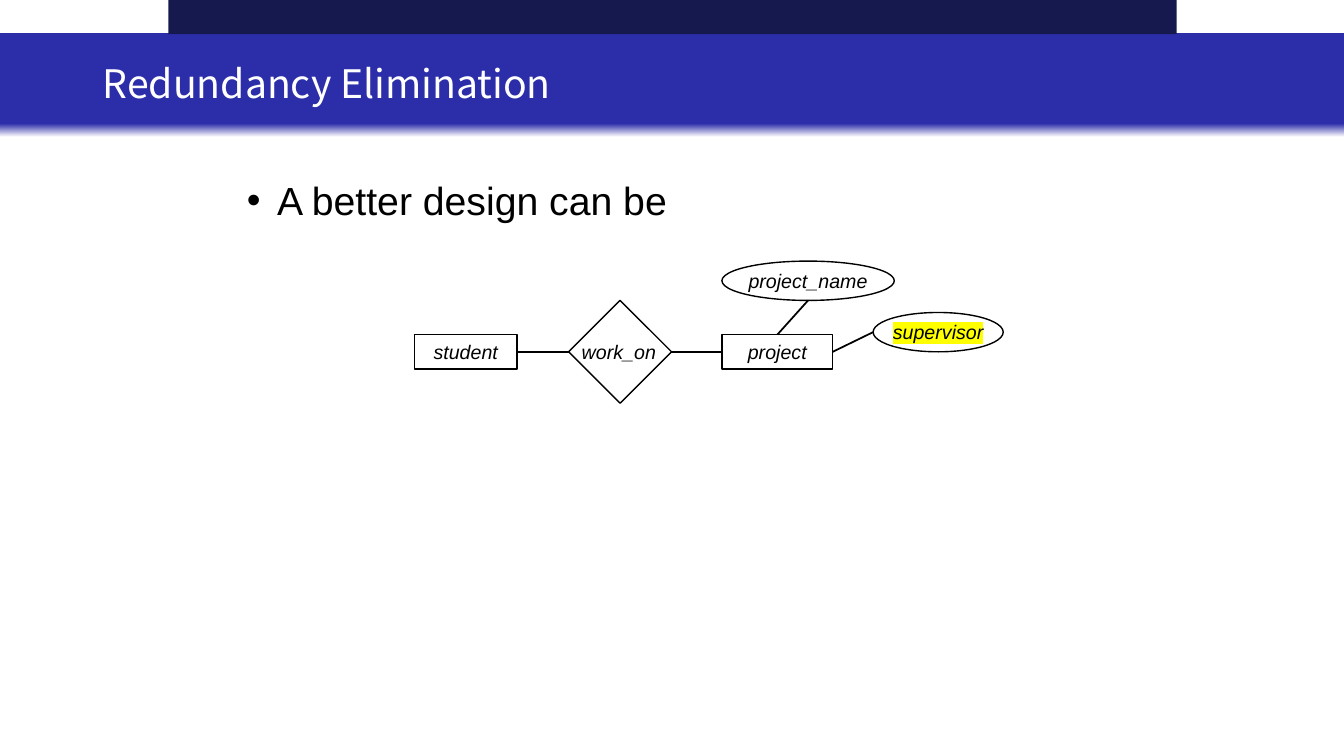
import pptx
import pptx.dml.color
import pptx.enum.shapes
import pptx.enum.text
import pptx.oxml
import pptx.oxml.ns
import pptx.util
from collections import namedtuple
from dataclasses import dataclass

Inches = pptx.util.Inches
Pt = pptx.util.Pt
SHAPE = pptx.enum.shapes.MSO_SHAPE
ANCHOR = pptx.enum.text.MSO_ANCHOR
ALIGN = pptx.enum.text.PP_ALIGN
TOP, LEFT, BOTTOM, RIGHT = range(4)
Box = namedtuple("Box", "left top width height")


@dataclass(frozen=True)
class Theme:
    band: str = "2C2DA9"
    strip: str = "16194D"
    paper: str = "FFFFFF"
    ink: str = "000000"
    marker: str = "FFFF00"
    title_font: str = "Noto Sans CJK SC"
    body_font: str = "Arial"
    heading_size: int = 28
    label_size: int = 14
    outline: float = 1
    link: float = 1.25


THEME = Theme()


def rgb(value):
    return pptx.dml.color.RGBColor.from_string(value)


def drawing_xml(tag, attributes="", content=""):
    namespace = pptx.oxml.ns.nsdecls("a")
    return pptx.oxml.parse_xml(f"<a:{tag} {namespace} {attributes}>{content}</a:{tag}>")


def inside(box, left, top, width, height):
    return Box(box.left + left, box.top + top, width, height)


def lengths(box):
    return [Inches(value) for value in box]


def apply(target, formats):
    for name, value in formats.items():
        setattr(target, name, value)


def write(shape, text, font, color, frame=None, para_format=None, bullet=None):
    apply(shape.text_frame, {"word_wrap": True, **(frame or {})})
    para = shape.text_frame.paragraphs[0]
    apply(para, para_format or {})
    if bullet:
        properties = para._p.get_or_add_pPr()
        apply_indent = {"marL": Inches(0.3), "indent": Inches(-0.3)}
        for name, value in apply_indent.items():
            properties.set(name, str(value))
        properties.append(drawing_xml("buFont", 'typeface="Arial"'))
        properties.append(drawing_xml("buChar", f'char="{bullet}"'))
    span = para.add_run()
    span.text = text
    apply(span.font, font)
    span.font.color.rgb = rgb(color)
    return span


def add_figure(page, kind, box):
    shape = page.shapes.add_shape(kind, *lengths(box))
    shape.shadow.inherit = False
    return shape


def add_header(page, box):
    band = add_figure(page, SHAPE.RECTANGLE, inside(box, 0, 0.33, box.width, 1.03))
    band.line.fill.background()
    band.fill.gradient()
    band.fill.gradient_angle = 90
    for stop, (position, color) in zip(
        band.fill.gradient_stops, [(0, THEME.paper), (0.13, THEME.band)]
    ):
        stop.position = position
        stop.color.rgb = rgb(color)

    title = page.shapes.add_textbox(*lengths(inside(box, 0.92, 0.39, 11.5, 0.92)))
    write(
        title, "Redundancy Elimination",
        {"name": THEME.title_font, "size": Pt(THEME.heading_size)}, THEME.paper,
        {"vertical_anchor": ANCHOR.MIDDLE}, {"line_spacing": 0.9},
    )

    strip = add_figure(page, SHAPE.RECTANGLE, inside(box, 1.67, 0, 10, 0.34))
    strip.fill.solid()
    strip.fill.fore_color.rgb = rgb(THEME.strip)
    strip.line.fill.background()


def add_body(page, box):
    body = page.shapes.add_textbox(*lengths(box))
    write(
        body, "A better design can be",
        {"name": THEME.body_font, "size": Pt(THEME.heading_size)}, THEME.ink,
        para_format={"line_spacing": 0.9}, bullet="•",
    )


def add_label(shape, text, align=ALIGN.CENTER):
    font = {"name": THEME.body_font, "size": Pt(THEME.label_size), "italic": True}
    margins = {"margin_left": 0, "margin_right": 0,
               "margin_top": Inches(0.02), "margin_bottom": Inches(0.02)}
    frame = {"word_wrap": False, "vertical_anchor": ANCHOR.MIDDLE, **margins}
    return write(shape, text, font, THEME.ink, frame, {"alignment": align})


def add_node(page, kind, box, text=None):
    node = add_figure(page, kind, box)
    node.fill.background()
    node.line.color.rgb = rgb(THEME.ink)
    node.line.width = Pt(THEME.outline)
    span = add_label(node, text) if text else None
    return node, span


def add_link(page, start, end):
    link = page.shapes.add_connector(
        pptx.enum.shapes.MSO_CONNECTOR.STRAIGHT, 0, 0, 0, 0
    )
    link.begin_x, link.begin_y = start
    link.line.color.rgb = rgb(THEME.ink)
    link.line.width = Pt(THEME.link)
    link._element.spPr.append(drawing_xml("effectLst"))
    link.end_connect(*end)
    return link


def add_diagram(page, box):
    student, _ = add_node(page, SHAPE.RECTANGLE, inside(box, 0, 0.73, 1.02, 0.34), "student")
    project, _ = add_node(page, SHAPE.RECTANGLE, inside(box, 3.05, 0.73, 1.1, 0.34), "project")
    name, _ = add_node(page, SHAPE.OVAL, inside(box, 3.05, 0, 1.71, 0.39), "project_name")
    work, _ = add_node(page, SHAPE.DIAMOND, inside(box, 1.53, 0.39, 1.02, 1.02))
    work_label = page.shapes.add_textbox(*lengths(inside(box, 1.66, 0.73, 0.8, 0.34)))
    add_label(work_label, "work_on", ALIGN.LEFT)
    supervisor, span = add_node(page, SHAPE.OVAL, inside(box, 4.55, 0.51, 1.29, 0.39), "supervisor")
    highlight = drawing_xml("highlight", content=f'<a:srgbClr val="{THEME.marker}"/>')
    span.font._element.find(pptx.oxml.ns.qn("a:solidFill")).addnext(highlight)

    for origin, target in [(project, work), (work, student)]:
        middle = origin.top + origin.height // 2
        link = add_link(page, (origin.left, middle), (target, RIGHT))
        link.begin_connect(origin, LEFT)
    name_bottom = (name.left + name.width // 2, name.top + name.height)
    supervisor_left = (supervisor.left, supervisor.top + supervisor.height // 2)
    add_link(page, name_bottom, (project, TOP))
    add_link(page, supervisor_left, (project, RIGHT))


def main():
    deck = pptx.Presentation()
    apply(deck, {"slide_width": Inches(13.33), "slide_height": Inches(7.5)})
    page = deck.slides.add_slide(deck.slide_layouts[6])
    add_header(page, Box(0, 0, 13.33, 1.36))
    add_body(page, Box(2.35, 1.75, 8.62, 4.96))
    add_diagram(page, Box(4.11, 2.59, 5.84, 1.41))
    deck.save("out.pptx")


if __name__ == "__main__":
    main()
